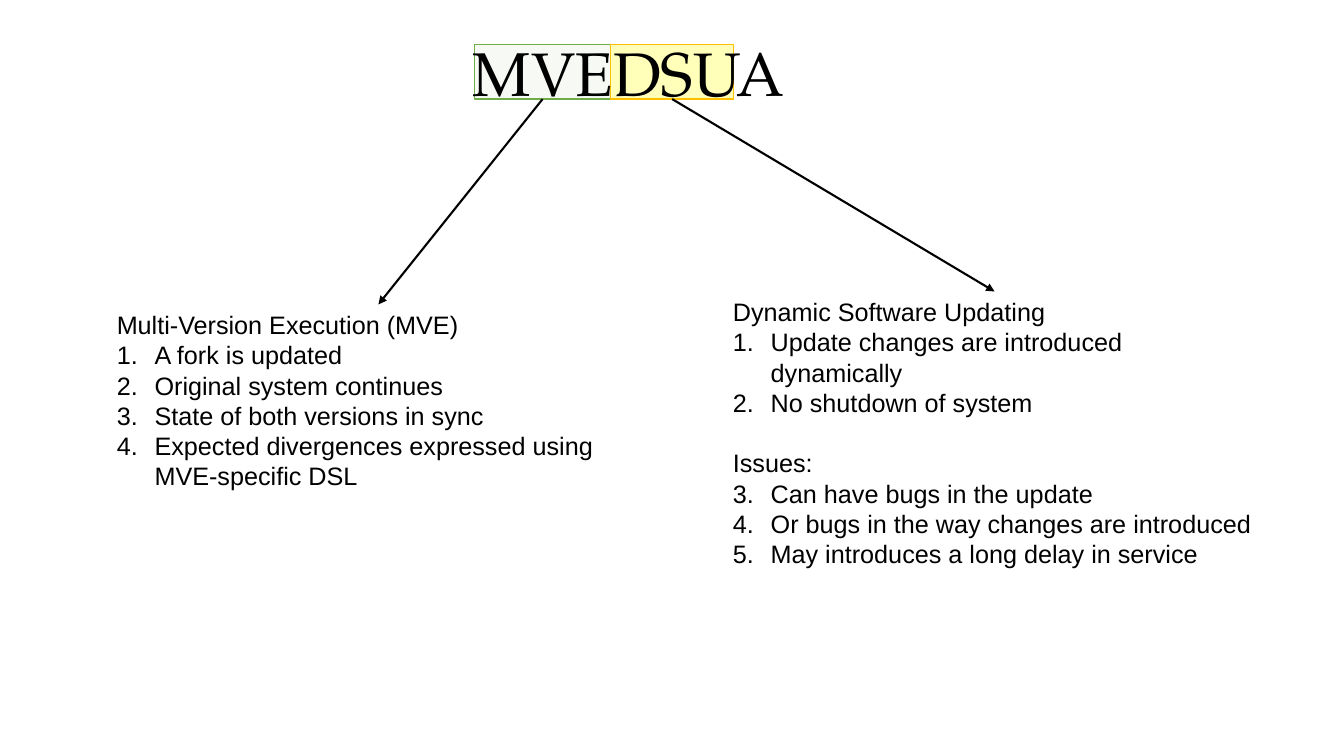
import dataclasses

import pptx
import pptx.dml.color
import pptx.enum.shapes
import pptx.enum.text
import pptx.oxml
import pptx.oxml.ns
import pptx.util

COLUMNS, ROWS = 32, 18
CELL = pptx.util.Emu(381000)
INDENT = 0.9
BODY_SIZE = 18
COLORS = {
    "text": "000000",
    "mve_fill": "E2F0D9",
    "mve_line": "70AD47",
    "dsu_fill": "FFFF00",
    "dsu_line": "FFC000",
}
FILL_OPACITY = 27


@dataclasses.dataclass(frozen=True)
class Box:
    column: float
    row: float
    columns: float
    rows: float

    @property
    def center(self) -> float:
        return self.column + self.columns / 2

    @property
    def bottom(self) -> float:
        return self.row + self.rows


@dataclasses.dataclass(frozen=True)
class Section:
    heading: str
    items: tuple[str, ...]
    first_number: int = 1


@dataclasses.dataclass(frozen=True)
class Topic:
    color: str
    highlight: Box
    body: Box
    sections: tuple[Section, ...]


TITLE_BOX = Box(11.02, 0.98, 8.3, 1.78)
TOPICS = (
    Topic(
        "mve",
        Box(11.3, 1.06, 3.24, 1.3),
        Box(2.54, 7.25, 12.94, 4.61),
        (
            Section(
                "Multi-Version Execution (MVE)",
                (
                    "A fork is updated",
                    "Original system continues",
                    "State of both versions in sync",
                    "Expected divergences expressed using MVE-specific DSL",
                ),
            ),
        ),
    ),
    Topic(
        "dsu",
        Box(14.54, 1.06, 2.93, 1.3),
        Box(17.21, 6.94, 12.94, 6.05),
        (
            Section(
                "Dynamic Software Updating",
                (
                    "Update changes are introduced dynamically",
                    "No shutdown of system",
                ),
            ),
            Section(
                "Issues:",
                (
                    "Can have bugs in the update",
                    "Or bugs in the way changes are introduced",
                    "May introduces a long delay in service",
                ),
                3,
            ),
        ),
    ),
)


def grid(cells: float) -> pptx.util.Emu:
    return pptx.util.Emu(round(cells * CELL))


def color(name: str) -> pptx.dml.color.RGBColor:
    return pptx.dml.color.RGBColor.from_string(COLORS[name])


def place(shape, box: Box) -> None:
    shape.left, shape.top = grid(box.column), grid(box.row)
    shape.width, shape.height = grid(box.columns), grid(box.rows)


def add_xml(parent, tag: str, **attributes: str):
    element = pptx.oxml.ns.qn(tag)
    child = parent.makeelement(element, attributes)
    parent.append(child)
    return child


def format_paragraph(paragraph, font_name: str, size: float) -> None:
    paragraph.alignment = pptx.enum.text.PP_ALIGN.LEFT
    paragraph.space_before = pptx.util.Pt(0)
    for run in paragraph.runs:
        run.font.name = font_name
        run.font.size = pptx.util.Pt(size)
        run.font.color.rgb = color("text")


def prepare_frame(shape, anchor: pptx.enum.text.MSO_ANCHOR) -> None:
    frame = shape.text_frame
    frame.word_wrap = True
    frame.auto_size = pptx.enum.text.MSO_AUTO_SIZE.NONE
    frame.vertical_anchor = anchor


def fill_title(title) -> None:
    place(title, TITLE_BOX)
    title.text_frame.text = "MVEDSUA"
    prepare_frame(title, pptx.enum.text.MSO_ANCHOR.MIDDLE)
    paragraph = title.text_frame.paragraphs[0]
    format_paragraph(paragraph, "TeX Gyre Pagella", 44)
    paragraph.line_spacing = 0.8


def set_numbering(paragraph, first_number: int | None) -> None:
    indent = 0 if first_number is None else grid(INDENT)
    properties = paragraph._p.get_or_add_pPr()
    properties.set("marL", str(indent))
    properties.set("indent", str(-indent))
    if first_number is None:
        add_xml(properties, "a:buNone")
    else:
        add_xml(properties, "a:buAutoNum", type="arabicPeriod", startAt=str(first_number))


def fill_body(body, topic: Topic) -> None:
    place(body, topic.body)
    lines = [
        (text, number)
        for section in topic.sections
        for text, number in [(section.heading, None)]
        + [(item, section.first_number) for item in section.items]
    ]
    body.text_frame.text = "\n".join(text for text, number in lines)
    prepare_frame(body, pptx.enum.text.MSO_ANCHOR.TOP)
    for index, (paragraph, (text, number)) in enumerate(zip(body.text_frame.paragraphs, lines)):
        format_paragraph(paragraph, "Arial", BODY_SIZE)
        if index and number is None:
            paragraph.space_before = pptx.util.Pt(BODY_SIZE * 1.2)
        set_numbering(paragraph, number)


def add_highlight(slide, topic: Topic) -> None:
    highlight = slide.shapes.add_shape(pptx.enum.shapes.MSO_SHAPE.RECTANGLE, 0, 0, 0, 0)
    place(highlight, topic.highlight)
    highlight.shadow.inherit = False
    highlight.fill.solid()
    highlight.fill.fore_color.rgb = color(f"{topic.color}_fill")
    fill_color = highlight.element.spPr.find(".//" + pptx.oxml.ns.qn("a:srgbClr"))
    add_xml(fill_color, "a:alpha", val=str(FILL_OPACITY * 1000))
    highlight.line.color.rgb = color(f"{topic.color}_line")
    highlight.line.width = pptx.util.Pt(1)
    slide.shapes.title.element.addprevious(highlight.element)


def add_arrow(slide, topic: Topic) -> None:
    arrow = slide.shapes.add_connector(
        pptx.enum.shapes.MSO_CONNECTOR.STRAIGHT,
        grid(topic.highlight.center),
        grid(topic.highlight.bottom),
        grid(topic.body.center),
        grid(topic.body.row),
    )
    arrow.line.color.rgb = color("text")
    arrow.line.width = pptx.util.Pt(1.5)
    add_xml(arrow.line._get_or_add_ln(), "a:tailEnd", type="triangle")
    add_xml(arrow.element.spPr, "a:effectLst")


def main() -> None:
    presentation = pptx.Presentation()
    presentation.slide_width = grid(COLUMNS)
    presentation.slide_height = grid(ROWS)
    slide = presentation.slides.add_slide(presentation.slide_layouts.get_by_name("Two Content"))
    fill_title(slide.shapes.title)
    for index, topic in enumerate(TOPICS, start=1):
        fill_body(slide.placeholders[index], topic)
        add_highlight(slide, topic)
        add_arrow(slide, topic)
    presentation.save("out.pptx")


if __name__ == "__main__":
    main()
